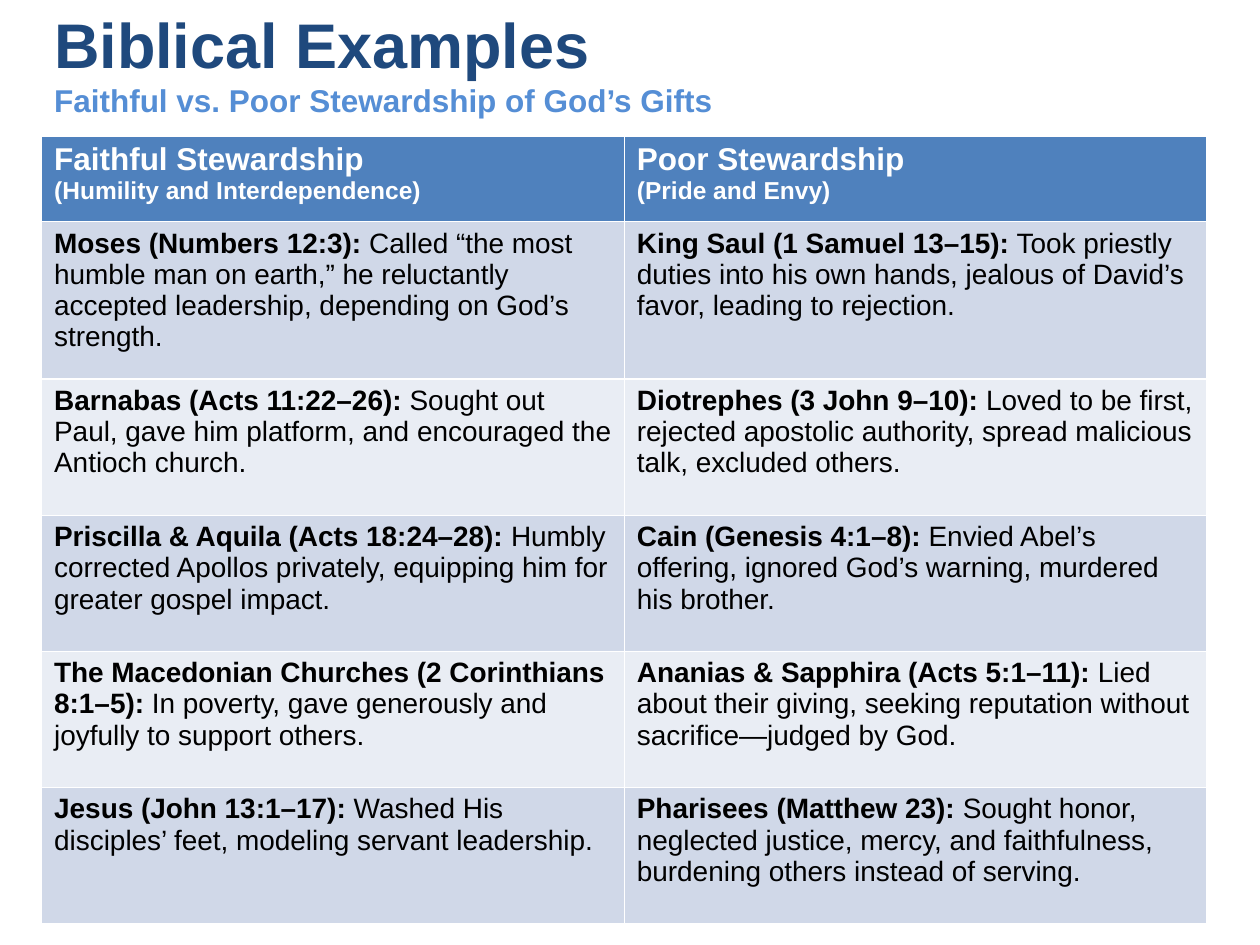
from pptx import Presentation
from pptx.dml.color import RGBColor
from pptx.enum.text import MSO_ANCHOR, MSO_AUTO_SIZE, PP_ALIGN
from pptx.util import Inches, Pt

FONT = "Arial"
COLORS = {
    "title": "1F497D",
    "subtitle": "558ED5",
    "header": "4F81BD",
    "header_text": "FFFFFF",
    "body_text": "000000",
    "odd_row": "D0D8E8",
    "even_row": "E9EDF4",
}
HEADERS = [
    ("Faithful Stewardship", "(Humility and Interdependence)"),
    ("Poor Stewardship", "(Pride and Envy)"),
]
EXAMPLES = [
    (("Moses (Numbers 12:3):",
      " Called “the most humble man on earth,” he reluctantly accepted leadership, "
      "depending on God’s strength."),
     ("King Saul (1 Samuel 13–15):",
      " Took priestly duties into his own hands, jealous of David’s favor, "
      "leading to rejection.")),
    (("Barnabas (Acts 11:22–26):",
      " Sought out Paul, gave him platform, and encouraged the Antioch church."),
     ("Diotrephes (3 John 9–10):",
      " Loved to be first, rejected apostolic authority, spread malicious talk, "
      "excluded others.")),
    (("Priscilla & Aquila (Acts 18:24–28):",
      " Humbly corrected Apollos privately, equipping him for greater gospel impact."),
     ("Cain (Genesis 4:1–8):",
      " Envied Abel’s offering, ignored God’s warning, murdered his brother.")),
    (("The Macedonian Churches (2 Corinthians 8:1–5):",
      " In poverty, gave generously and joyfully to support others."),
     ("Ananias & Sapphira (Acts 5:1–11):",
      " Lied about their giving, seeking reputation without sacrifice—judged by God.")),
    (("Jesus (John 13:1–17):",
      " Washed His disciples’ feet, modeling servant leadership."),
     ("Pharisees (Matthew 23):",
      " Sought honor, neglected justice, mercy, and faithfulness, "
      "burdening others instead of serving.")),
]
ROW_HEIGHTS = [0.68, 1.25] + [1.08] * 4


def rgb(name):
    return RGBColor.from_string(COLORS[name])


def style(font, size, color, bold=None):
    font.name = FONT
    font.size = Pt(size)
    font.color.rgb = rgb(color)
    font.bold = bold


def add_run(paragraph, text):
    run = paragraph.add_run()
    run.text = text
    return run


def fill_title(title):
    title.left, title.top = Inches(0.33), Inches(0.01)
    title.width, title.height = Inches(9), Inches(0.97)
    frame = title.text_frame
    frame.auto_size = MSO_AUTO_SIZE.NONE
    frame.vertical_anchor = MSO_ANCHOR.MIDDLE
    heading = frame.paragraphs[0]
    heading.alignment = PP_ALIGN.LEFT
    style(heading.font, 36, "title", True)
    add_run(heading, "Biblical Examples")
    heading.add_line_break()
    subtitle = add_run(heading, "Faithful vs. Poor Stewardship of God’s Gifts")
    style(subtitle.font, 18, "subtitle", True)


def fill_cell(cell, color):
    cell.fill.solid()
    cell.fill.fore_color.rgb = rgb(color)


def fill_header(cell, heading, traits):
    fill_cell(cell, "header")
    frame = cell.text_frame
    lines = [(frame.paragraphs[0], heading, 18), (frame.add_paragraph(), traits, 14)]
    for paragraph, text, size in lines:
        add_run(paragraph, text)
        style(paragraph.font, size, "header_text", True)


def fill_example(cell, person, story, color):
    fill_cell(cell, color)
    paragraph = cell.text_frame.paragraphs[0]
    style(paragraph.font, 16, "body_text")
    add_run(paragraph, person).font.bold = True
    add_run(paragraph, story).font.bold = False


def add_comparison(slide):
    table = slide.shapes.add_table(
        len(ROW_HEIGHTS), len(HEADERS),
        Inches(0.33), Inches(1.08), Inches(9.25), Inches(sum(ROW_HEIGHTS)),
    ).table
    for row, height in zip(table.rows, ROW_HEIGHTS):
        row.height = Inches(height)
    for column, (heading, traits) in enumerate(HEADERS):
        fill_header(table.cell(0, column), heading, traits)
    for row, pair in enumerate(EXAMPLES, start=1):
        color = "odd_row" if row % 2 else "even_row"
        for column, (person, story) in enumerate(pair):
            fill_example(table.cell(row, column), person, story, color)


def main():
    deck = Presentation()
    deck.slide_width, deck.slide_height = Inches(10), Inches(7.5)
    slide = deck.slides.add_slide(deck.slide_layouts[5])
    fill_title(slide.shapes.title)
    add_comparison(slide)
    deck.save("out.pptx")


if __name__ == "__main__":
    main()
